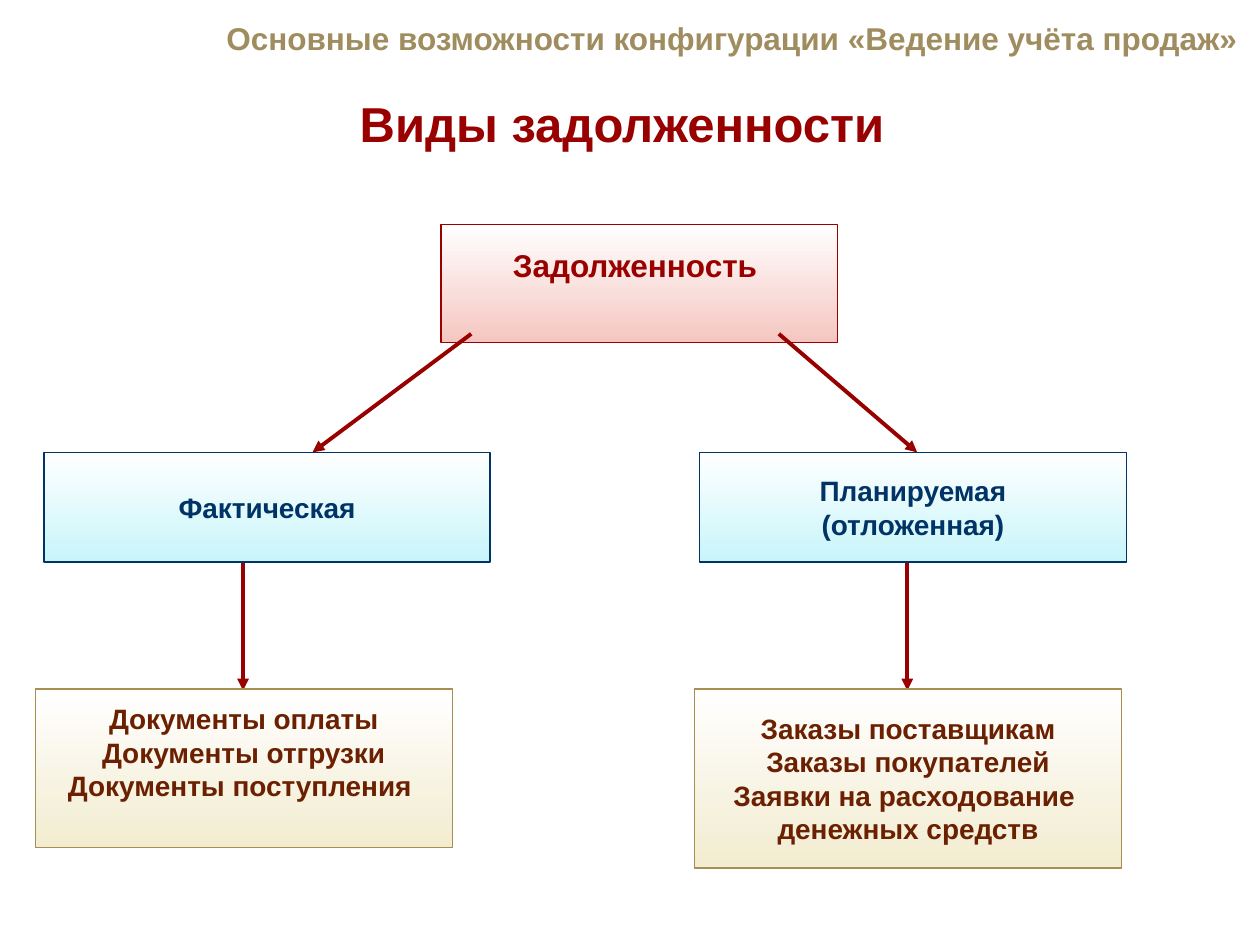
from dataclasses import dataclass

from lxml import etree
from pptx import Presentation
from pptx.dml.color import RGBColor
from pptx.enum.shapes import MSO_CONNECTOR, MSO_SHAPE
from pptx.enum.text import MSO_ANCHOR, PP_ALIGN
from pptx.oxml.ns import qn
from pptx.util import Cm, Pt

RECTANGLE = MSO_SHAPE.RECTANGLE
STRAIGHT = MSO_CONNECTOR.STRAIGHT
TOP, MIDDLE = MSO_ANCHOR.TOP, MSO_ANCHOR.MIDDLE
CENTER, RIGHT = PP_ALIGN.CENTER, PP_ALIGN.RIGHT


@dataclass(frozen=True)
class Palette:
    text: str
    line: str
    shade: str


@dataclass(frozen=True)
class Theme:
    font: str = "Arial"
    white: str = "FFFFFF"
    header: str = "9F8D5F"
    accent: str = "990000"
    root: Palette = Palette("990000", "990000", "F5C6C1")
    kind: Palette = Palette("003366", "003366", "C8F5FA")
    documents: Palette = Palette("6C2002", "A88F50", "F2ECD0")
    title_size: int = 28
    large_size: int = 18
    body_size: int = 16
    border: float = 0.75
    arrow: float = 2.25


THEME = Theme()


def apply_format(target, values):
    for name, value in values.items():
        setattr(target, name, value)


def write_lines(frame, lines, size, color, alignment=CENTER):
    for index, line in enumerate(lines):
        paragraph = frame.paragraphs[0] if index == 0 else frame.add_paragraph()
        paragraph.text = line
        paragraph.alignment = alignment
        apply_format(paragraph.font, {"name": THEME.font, "size": Pt(size), "bold": True})
        paragraph.font.color.rgb = RGBColor.from_string(color)


def add_heading(slide, box, text, size, color, alignment, anchor):
    shape = slide.shapes.add_textbox(*map(Cm, box))
    apply_format(shape.text_frame, {"word_wrap": True, "vertical_anchor": anchor})
    write_lines(shape.text_frame, [text], size, color, alignment)


def add_node(slide, box, lines, palette, size=THEME.body_size, bottom=0.13):
    shape = slide.shapes.add_shape(RECTANGLE, *map(Cm, box))
    shape.shadow.inherit = False
    shape.fill.gradient()
    shape.fill.gradient_angle = 270
    for stop, position, color in zip(
        shape.fill.gradient_stops, (0, 1), (THEME.white, palette.shade)
    ):
        stop.position = position
        stop.color.rgb = RGBColor.from_string(color)
    shape.line.color.rgb = RGBColor.from_string(palette.line)
    shape.line.width = Pt(THEME.border)
    apply_format(
        shape.text_frame,
        {"word_wrap": False, "vertical_anchor": MIDDLE, "margin_bottom": Cm(bottom)},
    )
    write_lines(shape.text_frame, lines, size, palette.text)


def add_arrow(slide, start, end):
    connector = slide.shapes.add_connector(STRAIGHT, *map(Cm, (*start, *end)))
    connector.line.color.rgb = RGBColor.from_string(THEME.accent)
    connector.line.width = Pt(THEME.arrow)
    etree.SubElement(connector.line._get_or_add_ln(), qn("a:tailEnd"), type="triangle")
    etree.SubElement(connector._element.spPr, qn("a:effectLst"))


def add_root(slide, box, targets):
    left, top, width, height = box
    add_node(slide, box, ["Задолженность "], THEME.root, THEME.large_size, 0.86)
    starts = (left + 0.61, left + width - 1.19)
    for start, target in zip(starts, targets):
        add_arrow(slide, (start, top + height - 0.18), target)


def add_branch(slide, box, kind_offset, kind_width, arrow_offset, kind, documents, bottom):
    left, top, width, height = box
    kind_height, documents_offset = 2.21, 4.77
    arrow_x = left + arrow_offset
    add_arrow(
        slide, (arrow_x, top + kind_height - 0.2), (arrow_x, top + documents_offset + 0.03)
    )
    add_node(slide, (left + kind_offset, top, kind_width, kind_height), kind, THEME.kind)
    documents_box = (left, top + documents_offset, width, height - documents_offset)
    add_node(slide, documents_box, documents, THEME.documents, bottom=bottom)


def main():
    presentation = Presentation()
    apply_format(presentation, {"slide_width": Cm(25.4), "slide_height": Cm(19.05)})
    slide = presentation.slides.add_slide(presentation.slide_layouts[6])

    add_heading(
        slide, (2.34, 0.25, 22.86, 1.02),
        "Основные возможности конфигурации «Ведение учёта продаж»",
        THEME.large_size, THEME.header, RIGHT, TOP,
    )
    add_heading(
        slide, (0.28, 1.37, 24.79, 2.21), "Виды задолженности ",
        THEME.title_size, THEME.accent, CENTER, MIDDLE,
    )

    branch_top = 9.12
    add_branch(
        slide, (0.71, branch_top, 8.41, 7.97), 0.18, 8.99, 4.19,
        ["Фактическая"],
        ["Документы оплаты", "Документы отгрузки", "Документы поступления "],
        0.78,
    )
    add_branch(
        slide, (14, branch_top, 8.61, 8.38), 0.1, 8.61, 4.29,
        ["Планируемая", "(отложенная)"],
        ["Заказы поставщикам", "Заказы покупателей",
         "Заявки на расходование ", "денежных средств"],
        0.13,
    )
    add_root(slide, (8.89, 4.52, 8, 2.39), ((6.3, branch_top), (18.49, branch_top)))

    presentation.save("out.pptx")


if __name__ == "__main__":
    main()
